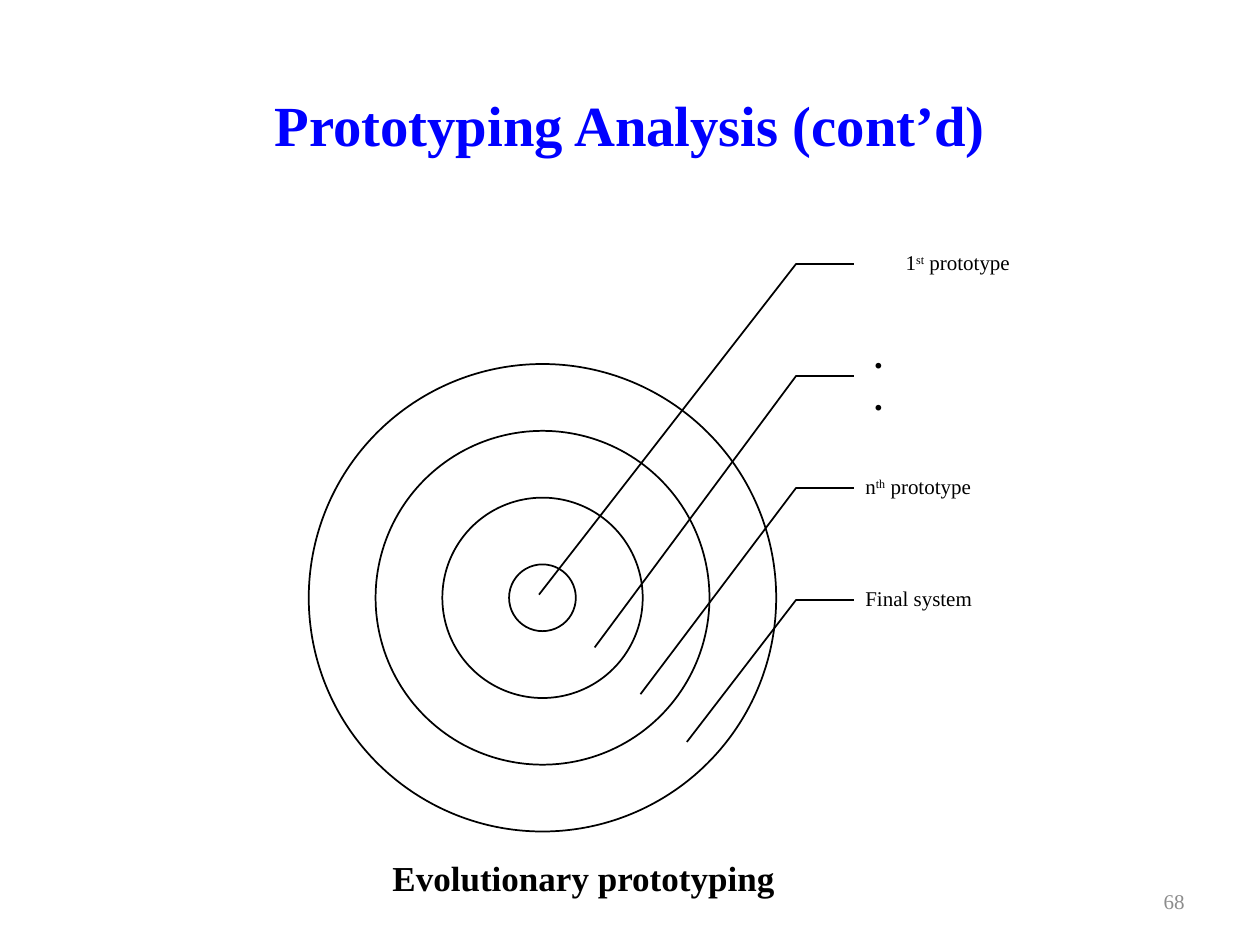
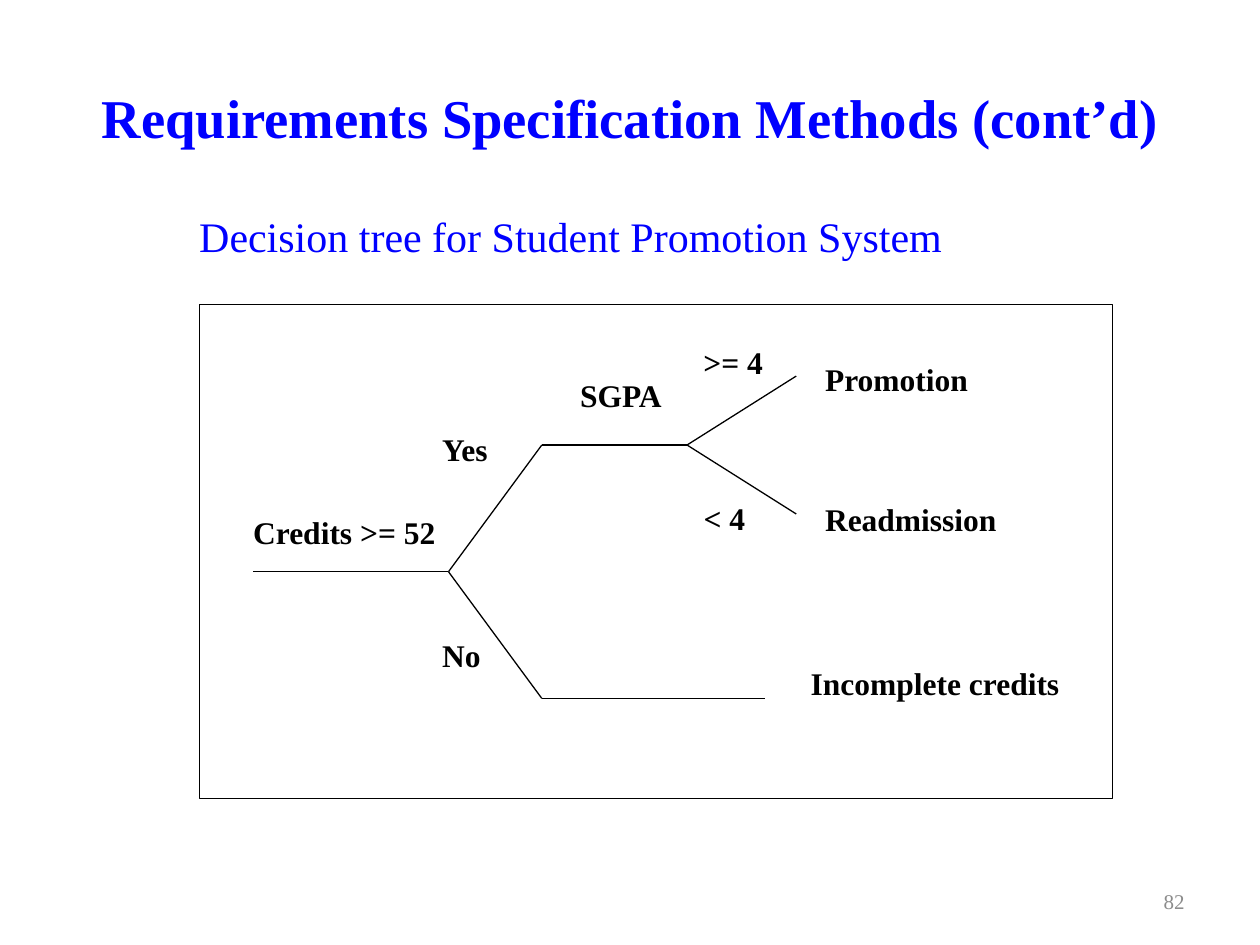
from typing import NamedTuple

from lxml.etree import SubElement
from pptx import Presentation
from pptx.dml.color import RGBColor
from pptx.enum.shapes import MSO_CONNECTOR as Link, MSO_SHAPE as Kind
from pptx.enum.text import MSO_ANCHOR as Anchor, MSO_AUTO_SIZE as Auto, PP_ALIGN as Align
from pptx.oxml.ns import qn
from pptx.util import Pt

# Shared look
FACE = "Times New Roman"
BLUE, BLACK, WHITE, GREY = "0000FF", "000000", "FFFFFF", "8C8C8C"


class Box(NamedTuple):
    left: float
    top: float
    wide: float
    high: float


class Point(NamedTuple):
    x: float
    y: float


class Part(NamedTuple):
    text: str
    rise: int = 0


class Label(NamedTuple):
    text: str
    box: Box


class Callout(NamedTuple):
    tip: Point
    left: float
    lines: list[list[Part]]
    size: float = 12
    bold: bool = False


def tint(code: str) -> RGBColor:
    return RGBColor.from_string(code)


def place(shape, box: Box) -> None:
    for name, value in zip(("left", "top", "width", "height"), box):
        setattr(shape, name, Pt(value))


def write(shape, lines: list[list[Part]], size: float, color: str = BLACK,
          bold: bool = False, align=Align.LEFT, anchor=Anchor.TOP,
          inset: float = 0, lead: float = 1.0) -> None:
    frame = shape.text_frame
    style = {"word_wrap": True, "auto_size": Auto.NONE, "vertical_anchor": anchor}
    style |= {f"margin_{side}": Pt(inset) for side in ("left", "right", "top", "bottom")}
    for name, value in style.items():
        setattr(frame, name, value)
    for i, line in enumerate(lines):
        para = frame.paragraphs[0] if i == 0 else frame.add_paragraph()
        para.alignment, para.line_spacing = align, lead
        for part in line:
            run = para.add_run()
            run.text = part.text
            look = {"name": FACE, "size": Pt(size), "bold": bold}
            for name, value in look.items():
                setattr(run.font, name, value)
            run.font.color.rgb = tint(color)
            if part.rise:
                run._r.get_or_add_rPr().set("baseline", str(part.rise * 1000))


def text(slide, box: Box, lines: list[list[Part]], size: float, **look):
    shape = slide.shapes.add_textbox(*map(Pt, box))
    write(shape, lines, size, **look)
    return shape


def draw(slide, kind, box: Box, line: str, width: float, fill: str = WHITE):
    shape = slide.shapes.add_shape(kind, *map(Pt, box))
    shape.shadow.inherit = False
    shape.fill.solid()
    shape.fill.fore_color.rgb = tint(fill)
    shape.line.color.rgb = tint(line)
    shape.line.width = Pt(width)
    return shape


def trace(slide, points: list[Point], width: float) -> None:
    """Join the points with straight lines."""
    for start, end in zip(points, points[1:]):
        line = slide.shapes.add_connector(Link.STRAIGHT, *map(Pt, (*start, *end)))
        line.line.color.rgb = tint(BLACK)
        line.line.width = Pt(width)
        SubElement(line._element.spPr, qn("a:effectLst"))


def start(deck, title: str, size: float, top: float, number: int):
    slide = deck.slides.add_slide(deck.slide_layouts[5])
    head = slide.shapes.title
    place(head, Box(36, top, 648, 90))
    write(head, [[Part(title)]], size, BLUE, True, Align.CENTER, Anchor.MIDDLE, 4)
    text(slide, Box(516, 500.4, 168, 28.8), [[Part(str(number))]], 12,
         color=GREY, align=Align.RIGHT, anchor=Anchor.MIDDLE, inset=7.2)
    return slide


deck = Presentation()
deck.slide_width, deck.slide_height = Pt(720), Pt(540)

# Slide 1: rings with callouts
slide = start(deck, "Prototyping Analysis (cont’d)", 32.4, 26, 68)
HUB, CORE = Point(310, 341.6), 38.16
for count in (7, 5, 3, 1):
    size = CORE * count
    draw(slide, Kind.OVAL, Box(HUB.x - size / 2, HUB.y - size / 2, size, size), BLACK, 1)

CALLOUTS = [
    Callout(Point(308, 339.8), 517.5, [[Part("1"), Part("st", 30), Part(" prototype")]]),
    Callout(Point(339.8, 370), 499.5, [[Part(".")], [Part(".")]], 20, True),
    Callout(Point(366, 396.7), 494.5, [[Part("n"), Part("th", 30), Part(" prototype")]]),
    Callout(Point(392.5, 424), 494.5, [[Part("Final system")]]),
]
TOP, STEP, TALL = 150.7, 64, 60
for i, call in enumerate(CALLOUTS):
    y = TOP + STEP * i
    trace(slide, [call.tip, Point(455, y), Point(488, y)], 1)
    text(slide, Box(call.left, y - TALL / 2, 125, TALL), call.lines, call.size,
         bold=call.bold, anchor=Anchor.MIDDLE, lead=1.0 if call.bold else 0.9)

text(slide, Box(206, 486, 255, 31.7), [[Part("Evolutionary prototyping")]], 20,
     bold=True, align=Align.CENTER, inset=3.6)

# Slide 2: decision tree
slide = start(deck, "Requirements Specification Methods (cont’d)", 31.2, 21.6, 82)
head = draw(slide, Kind.RECTANGLE, Box(113.8, 120.2, 581.8, 30.2), WHITE, 0.75)
write(head, [[Part("Decision tree for Student Promotion System")]], 24, BLUE)
draw(slide, Kind.RECTANGLE, Box(113.8, 174.2, 522, 282.2), BLACK, 0.75)

# Branches: each fork opens evenly above and below its middle
ROOT, FORK = Point(256.3, 326.7), Point(392.6, 254.3)
RISE, SPREAD = 72.4, 39.4
yes, no = Point(309.6, ROOT.y - RISE), Point(309.6, ROOT.y + RISE)
PATHS = [
    [Point(144.7, ROOT.y), ROOT, yes, FORK, Point(455, FORK.y - SPREAD)],
    [FORK, Point(455, FORK.y + SPREAD)],
    [ROOT, no, Point(437, no.y)],
]
for points in PATHS:
    trace(slide, points, 0.75)

LABELS = [
    Label("Credits >= 52", Box(144.7, 293, 108, 26)),
    Label("Yes", Box(252.7, 245.5, 35, 26)),
    Label("No", Box(252.7, 363.6, 27.5, 26)),
    Label("SGPA", Box(331.5, 214.6, 61, 26)),
    Label("Promotion", Box(471.5, 205.9, 95, 34.6)),
    Label("Readmission", Box(471.5, 285.8, 124, 26)),
    Label("Incomplete credits", Box(463.3, 379.4, 148.3, 26)),
    Label("< 4", Box(402, 285.1, 35, 26)),
    Label(">= 4", Box(402, 195.8, 41, 18.7)),
]
for label in LABELS:
    shape = draw(slide, Kind.RECTANGLE, label.box, WHITE, 0.75)
    write(shape, [[Part(label.text)]], 18, bold=True)

deck.save("out.pptx")
